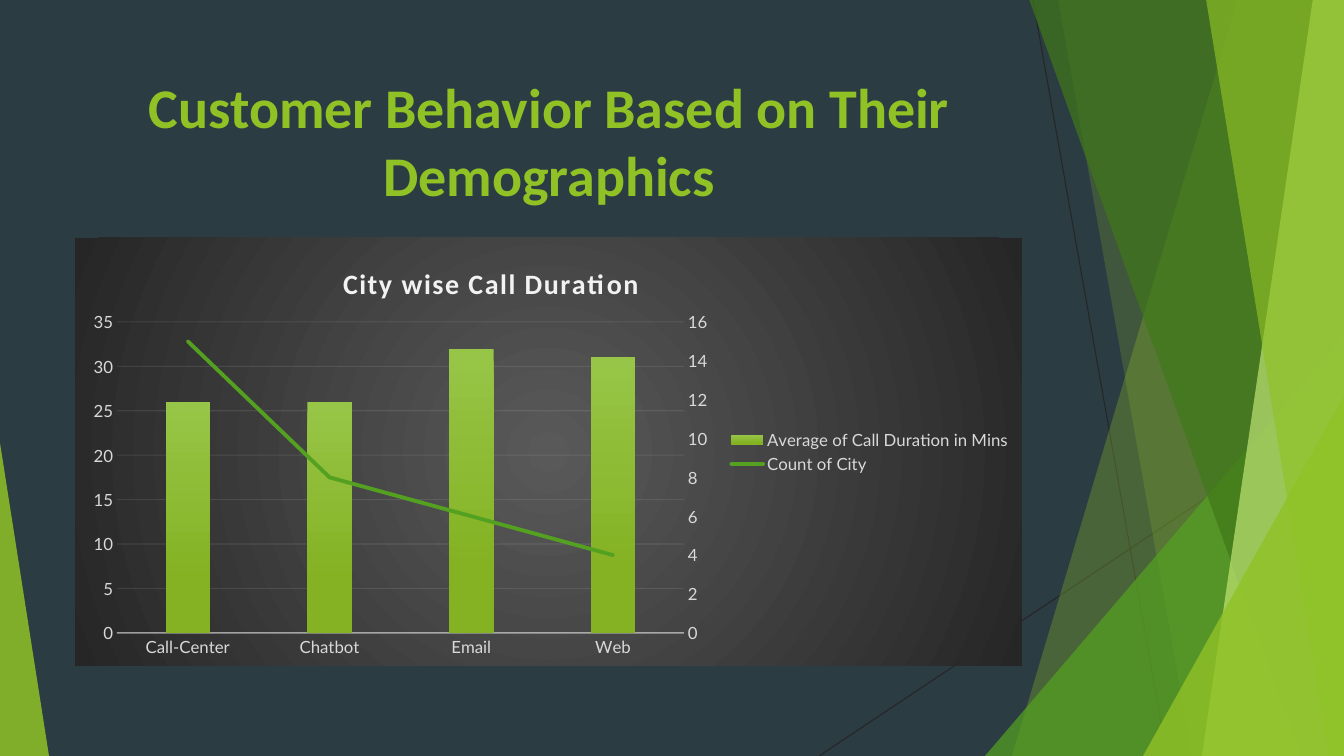
from copy import deepcopy
from pptx import Presentation
from pptx.chart.data import CategoryChartData
from pptx.dml.color import RGBColor as Color
from pptx.enum.chart import XL_CHART_TYPE as ChartType, XL_LEGEND_POSITION as LegendPlace
from pptx.enum.chart import XL_MARKER_STYLE as Marker, XL_TICK_MARK as Tick
from pptx.enum.shapes import MSO_CONNECTOR as Connector, MSO_SHAPE as Shape
from pptx.enum.text import MSO_ANCHOR as Anchor, PP_ALIGN as Align
from pptx.oxml import parse_xml
from pptx.oxml.ns import nsdecls, qn
from pptx.oxml.xmlchemy import OxmlElement
from pptx.util import Pt

PX = 914400 / 100.8
WIDTH, HEIGHT = 1344, 756
THEME = {
    "page": "2C3C43", "wire": "262626", "lime": "90C226", "green": "54A021",
    "forest": "3F7819", "pale": "C0E474", "label": "D9D9D9", "light": "F2F2F2",
    "glow": "595959", "bar_top": "97C547", "bar_foot": "84B223",
    "heading": 40, "chart_title": 20, "chart_text": 12,
}


def style(target, values):
    for name, value in values.items():
        if name == "rgb":
            target.color.rgb = Color.from_string(THEME[value])
        else:
            setattr(target, name, value)


def fade(element, percent):
    for tint in element.iter(qn("a:srgbClr")):
        alpha = OxmlElement("a:alpha")
        alpha.set("val", str(percent * 1000))
        tint.append(alpha)


deck = Presentation()
deck.slide_width, deck.slide_height = round(WIDTH * PX), round(HEIGHT * PX)
page = deck.slides.add_slide(deck.slide_layouts[6])
page.background.fill.solid()
page.background.fill.fore_color.rgb = Color.from_string(THEME["page"])

for ends in [(1033, 0, 1167, HEIGHT), (WIDTH, 406, 819, HEIGHT)]:
    wire = page.shapes.add_connector(Connector.STRAIGHT, *[round(v * PX) for v in ends])
    style(wire.line, {"rgb": "wire", "width": Pt(0.75)})
    wire._element.spPr.append(OxmlElement("a:effectLst"))

facets = [
    ("band", (1238, 1012), "lime", 30),
    ("band", (1058, 1192), "lime", 20),
    ("triangle", (985, 336, 359, 420, 1), "green", 72),
    ("band", (1029, 1301), "forest", 70),
    ("band", (1313, 1202), "pale", 70),
    ("band", (1206, 1329), "lime", 65),
    ("triangle", (1143, 396, 201, 360, 1), "lime", 80),
    ("triangle", (0, 443, 49, 313, 0), "lime", 85),
]
for kind, place, colour, opacity in facets:
    if kind == "band":
        top, foot = place
        outline = page.shapes.build_freeform(top, -1, scale=PX)
        outline.add_line_segments([(WIDTH, -1), (WIDTH, HEIGHT), (foot, HEIGHT)], close=True)
        facet = outline.convert_to_shape()
    else:
        *frame, apex = place
        facet = page.shapes.add_shape(Shape.ISOSCELES_TRIANGLE, *[round(v * PX) for v in frame])
        facet.adjustments[0] = apex
    facet.shadow.inherit = False
    facet.line.fill.background()
    facet.fill.solid()
    facet.fill.fore_color.rgb = Color.from_string(THEME[colour])
    fade(facet._element.spPr, opacity)

box = page.shapes.add_textbox(*[round(v * PX) for v in (75, 68, 948, 145)])
style(box.text_frame, {"word_wrap": True, "vertical_anchor": Anchor.TOP})
para = box.text_frame.paragraphs[0]
para.alignment = Align.CENTER
span = para.add_run()
span.text = "Customer Behavior Based on Their Demographics"
style(span.font, {"name": "Calibri", "size": Pt(THEME["heading"]), "bold": True, "rgb": "lime"})

data = CategoryChartData()
data.categories = ["Call-Center", "Chatbot", "Email", "Web"]
data.add_series("Average of Call Duration in Mins", [26, 26, 32, 31])
data.add_series("Count of City", [15, 8, 6, 4])
chart_width, chart_height = 947, 428
frame = [round(v * PX) for v in (75, 238, chart_width, chart_height)]
chart = page.shapes.add_chart(ChartType.COLUMN_CLUSTERED, *frame, data).chart
label_font = {"name": "Lato", "size": Pt(THEME["chart_text"]), "rgb": "label"}
style(chart.font, label_font)

chart.has_title = True
para = chart.chart_title.text_frame.paragraphs[0]
span = para.add_run()
span.text = "City wise Call Duration"
style(span.font, {"name": "Calibri", "size": Pt(THEME["chart_title"]), "bold": True, "rgb": "light"})
span.font._element.set("spc", "100")

chart.has_legend = True
style(chart.legend, {"position": LegendPlace.RIGHT, "include_in_layout": False})
style(chart.legend.font, label_font)

for axis in (chart.category_axis, chart.value_axis):
    style(axis, {"major_tick_mark": Tick.NONE, "minor_tick_mark": Tick.NONE})
    style(axis.tick_labels.font, label_font)
style(chart.category_axis.format.line, {"rgb": "light", "width": Pt(1)})
fade(chart.category_axis._element.find(qn("c:spPr")), 54)
style(chart.value_axis, {"minimum_scale": 0, "maximum_scale": 35, "major_unit": 5})
chart.value_axis.format.line.fill.background()
style(chart.value_axis.major_gridlines.format.line, {"rgb": "light", "width": Pt(0.75)})
fade(chart.value_axis._element.find(qn("c:majorGridlines")), 10)

columns = chart.plots[0]
style(columns, {"gap_width": 219, "overlap": -27, "vary_by_categories": False})
bars = columns.series[0].format.fill
bars.gradient()
bars.gradient_angle = 270
for stop, colour, position in zip(bars.gradient_stops, ("bar_top", "bar_foot"), (0, 0.78)):
    style(stop, {"rgb": colour, "position": position})

line_chart = parse_xml(
    f'<c:lineChart {nsdecls("c")}><c:grouping val="standard"/><c:varyColors val="0"/>'
    '<c:marker val="1"/><c:axId val="501"/><c:axId val="502"/></c:lineChart>')
city_series = columns.series[1]._element
for flag in city_series.findall(qn("c:invertIfNegative")):
    city_series.remove(flag)
line_chart.insert(2, city_series)
columns._element.addnext(line_chart)

second_axes = [
    (chart.category_axis, {"axId": 501, "crossAx": 502, "delete": 1}),
    (chart.value_axis, {"axId": 502, "crossAx": 501, "axPos": "r", "crosses": "max",
                        "max": 16, "majorUnit": 2}),
]
last_axis = chart.value_axis._element
for axis, changes in second_axes:
    twin = deepcopy(axis._element)
    for tag, value in changes.items():
        twin.find(".//" + qn("c:" + tag)).set("val", str(value))
    for grid in twin.findall(qn("c:majorGridlines")):
        twin.remove(grid)
    last_axis.addnext(twin)
    last_axis = twin

city_line = chart.plots[1].series[0]
city_line.smooth = False
city_line.marker.style = Marker.NONE
style(city_line.format.line, {"rgb": "green", "width": Pt(2.75)})
city_line._element.find(qn("c:spPr")).find(qn("a:ln")).set("cap", "rnd")

root = chart._chartSpace
layouts = [
    ("c:title", 1, "", {"x": 263, "y": 21}),
    ("c:plotArea", 0, '<c:layoutTarget val="inner"/>', {"x": 42, "y": 84, "w": 567, "h": 311}),
]
spans = {"x": chart_width, "y": chart_height, "w": chart_width, "h": chart_height}
for tag, slot, target, sizes in layouts:
    holder = root.find(".//" + qn(tag))
    for old in holder.findall(qn("c:layout")):
        holder.remove(old)
    modes = "".join(f'<c:{side}Mode val="edge"/>' for side in "xy")
    values = "".join(f'<c:{side} val="{size / spans[side]}"/>' for side, size in sizes.items())
    holder.insert(slot, parse_xml(
        f'<c:layout {nsdecls("c")}><c:manualLayout>{target}{modes}{values}</c:manualLayout></c:layout>'))

root.find(qn("c:chart")).addnext(parse_xml(
    f'<c:spPr {nsdecls("c", "a")}><a:gradFill><a:gsLst>'
    f'<a:gs pos="0"><a:srgbClr val="{THEME["glow"]}"/></a:gs>'
    f'<a:gs pos="100000"><a:srgbClr val="{THEME["wire"]}"/></a:gs></a:gsLst>'
    '<a:path path="circle"><a:fillToRect l="50000" t="50000" r="50000" b="50000"/></a:path>'
    '</a:gradFill><a:ln><a:noFill/></a:ln></c:spPr>'))

deck.save("out.pptx")
